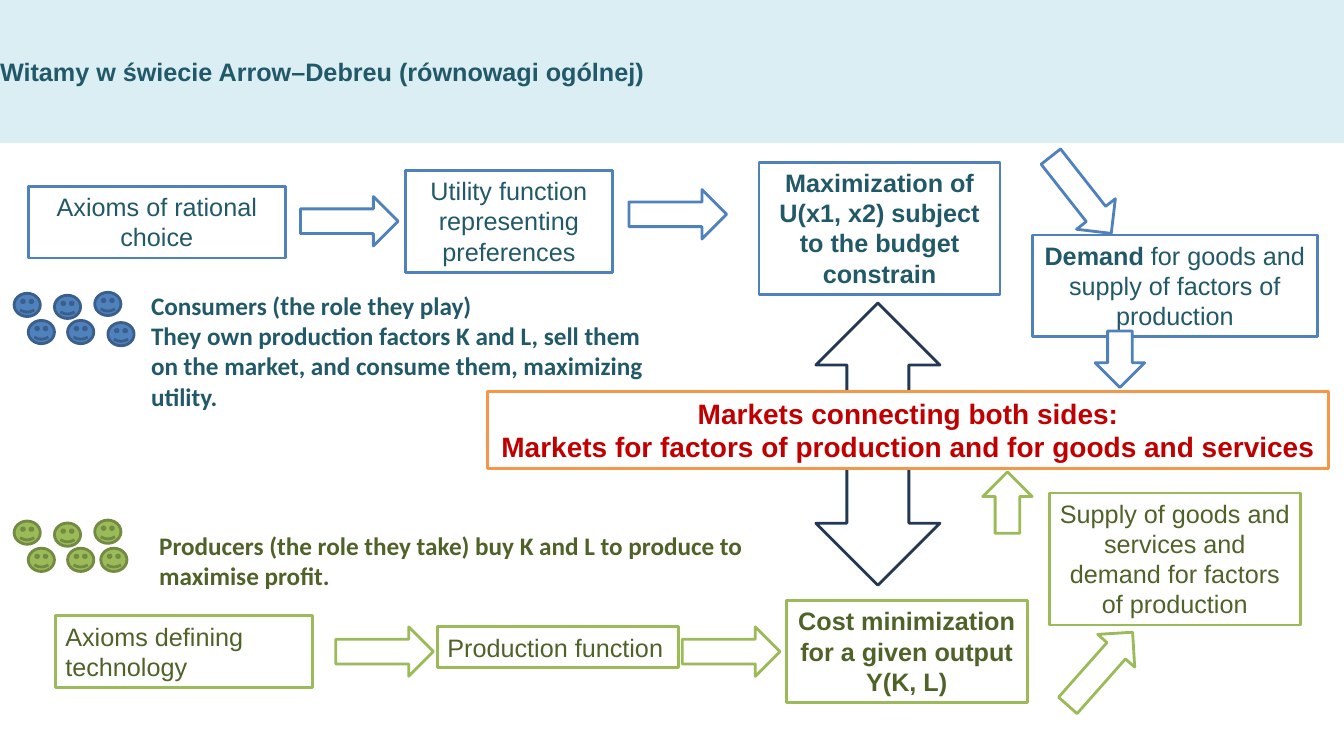
from pptx import Presentation
from pptx.dml.color import RGBColor
from pptx.enum.shapes import MSO_SHAPE
from pptx.enum.text import MSO_ANCHOR, MSO_AUTO_SIZE, PP_ALIGN
from pptx.util import Pt

WHITE = RGBColor(0xFF, 0xFF, 0xFF)
BAND = RGBColor(0xDB, 0xEE, 0xF4)
BLUE = RGBColor(0x4F, 0x81, 0xBD)
BLUE_EDGE = RGBColor(0x3A, 0x5F, 0x8C)
BLUE_TEXT = RGBColor(0x21, 0x59, 0x68)
GREEN = RGBColor(0x9B, 0xBB, 0x59)
GREEN_EDGE = RGBColor(0x73, 0x8A, 0x42)
GREEN_TEXT = RGBColor(0x4F, 0x62, 0x28)
ORANGE = RGBColor(0xF7, 0x96, 0x46)
RED = RGBColor(0xC0, 0x00, 0x00)
NAVY = RGBColor(0x23, 0x39, 0x53)

ARROW_SIZE = (69.8, 35.3)
FACE_SIZE = (18.7, 16.6)
FACE_OFFSETS = [(0, 0), (28.8, 1.4), (10.1, 19.4), (38.2, 19.4), (57.6, -0.7)]


def write_text(shape, *lines, color, lead="", size=18, font="Arial", bold=False,
               align=PP_ALIGN.LEFT, anchor=MSO_ANCHOR.TOP,
               auto_size=MSO_AUTO_SIZE.SHAPE_TO_FIT_TEXT):
    """Write one paragraph per line; lead is a bold opening of the first."""
    frame = shape.text_frame
    frame.word_wrap = True
    frame.auto_size = auto_size
    frame.vertical_anchor = anchor
    for index, line in enumerate(lines):
        paragraph = frame.add_paragraph() if index else frame.paragraphs[0]
        paragraph.alignment = align
        pieces = [(line, bold)]
        if lead and not index:
            pieces.insert(0, (lead, True))
        for words, is_bold in pieces:
            run = paragraph.add_run()
            run.text = words
            run.font.name = font
            run.font.size = Pt(size)
            run.font.bold = is_bold
            run.font.color.rgb = color


def add_outlined(slide, preset, left, top, width, height, edge, fill=WHITE, rotation=0):
    shape = slide.shapes.add_shape(preset, Pt(left), Pt(top), Pt(width), Pt(height))
    shape.shadow.inherit = False
    shape.rotation = rotation
    shape.fill.solid()
    shape.fill.fore_color.rgb = fill
    shape.line.color.rgb = edge
    shape.line.width = Pt(2)
    return shape


def add_box(slide, bounds, edge, *lines, align=PP_ALIGN.CENTER, **text_format):
    box = add_outlined(slide, MSO_SHAPE.RECTANGLE, *bounds, edge)
    write_text(box, *lines, align=align, **text_format)


def add_arrow(slide, left, top, edge, size=ARROW_SIZE, rotation=0):
    add_outlined(slide, MSO_SHAPE.RIGHT_ARROW, left, top, *size, edge, rotation=rotation)


def add_crowd(slide, left, top, fill, edge, last_offset):
    for across, down in FACE_OFFSETS + [last_offset]:
        add_outlined(slide, MSO_SHAPE.SMILEY_FACE, left + across, top + down,
                     *FACE_SIZE, edge, fill=fill)


def add_caption(slide, left, top, width, height, *lines, color):
    caption = slide.shapes.add_textbox(Pt(left), Pt(top), Pt(width), Pt(height))
    write_text(caption, *lines, color=color, font="Calibri", bold=True)


def format_title(title):
    title.left, title.top, title.width, title.height = Pt(0), Pt(0), Pt(960), Pt(102.2)
    title.fill.solid()
    title.fill.fore_color.rgb = BAND
    frame = title.text_frame
    frame.margin_left = frame.margin_right = frame.margin_top = frame.margin_bottom = Pt(0)
    write_text(title, "Witamy w świecie Arrow–Debreu (równowagi ogólnej)", color=BLUE_TEXT,
               bold=True, anchor=MSO_ANCHOR.MIDDLE, auto_size=MSO_AUTO_SIZE.NONE)


def add_producers(slide):
    add_box(slide, (749.5, 352.1, 179.3, 94.3), GREEN,
            "Supply of goods and services and demand for factors of production",
            color=GREEN_TEXT)
    add_box(slide, (39.6, 439.9, 183.6, 51.1), GREEN, "Axioms defining technology",
            color=GREEN_TEXT, align=PP_ALIGN.LEFT)
    add_box(slide, (312.5, 447.8, 172.1, 28.8), GREEN, "Production function",
            color=GREEN_TEXT, align=PP_ALIGN.LEFT)
    add_box(slide, (561.6, 429.1, 172.1, 72.7), GREEN,
            "Cost minimization for a given output Y(K, L)", color=GREEN_TEXT, bold=True)
    add_arrow(slide, 239.8, 447.8, GREEN)
    add_arrow(slide, 487.4, 447.8, GREEN)
    add_arrow(slide, 751, 460.1, GREEN, rotation=311.5)
    add_arrow(slide, 697.7, 341.3, GREEN, size=(43.9, 35.3), rotation=270)
    add_crowd(slide, 10.1, 372.2, GREEN, GREEN_EDGE, last_offset=(61.9, 19.4))
    add_caption(slide, 106.6, 375.1, 432, 51.1,
                "Producers (the role they take) buy K and L to produce to maximise profit.",
                color=GREEN_TEXT)


def add_consumers(slide):
    add_box(slide, (20.2, 133.2, 183.6, 51.1), BLUE, "Axioms of rational choice",
            color=BLUE_TEXT)
    add_box(slide, (289.4, 121.7, 148.3, 72.7), BLUE,
            "Utility function representing preferences", color=BLUE_TEXT)
    add_box(slide, (542.2, 115.9, 172.1, 94.3), BLUE,
            "Maximization of U(x1, x2) subject to the budget constrain",
            color=BLUE_TEXT, bold=True)
    add_arrow(slide, 214.6, 140.4, BLUE)
    add_arrow(slide, 449.3, 135.4, BLUE)
    add_arrow(slide, 737.3, 121.7, BLUE, rotation=51.8)
    add_box(slide, (737.3, 167.8, 203.8, 72.7), BLUE,
            " for goods and supply of factors of production", lead="Demand", color=BLUE_TEXT)
    add_arrow(slide, 779.8, 239, BLUE, size=(40.3, 35.3), rotation=90)
    add_crowd(slide, 10.1, 209.5, BLUE, BLUE_EDGE, last_offset=(67, 20.9))
    add_caption(slide, 100.8, 203.8, 370.8, 94.3,
                "Consumers (the role they play)",
                "They own production factors K and L, sell them on the market, "
                "and consume them, maximizing utility.", color=BLUE_TEXT)


def add_markets(slide):
    add_outlined(slide, MSO_SHAPE.LEFT_RIGHT_ARROW, 526.3, 272.9, 201.6, 88.6, NAVY,
                 rotation=270)
    add_box(slide, (348.5, 279.4, 600.5, 55.4), ORANGE,
            "Markets connecting both sides:",
            "Markets for factors of production and for goods and services",
            color=RED, size=20, bold=True)


def main():
    deck = Presentation()
    deck.slide_width, deck.slide_height = Pt(960), Pt(540)
    slide = deck.slides.add_slide(deck.slide_layouts[5])
    format_title(slide.shapes.title)
    add_markets(slide)
    add_producers(slide)
    add_consumers(slide)
    deck.save("out.pptx")


if __name__ == "__main__":
    main()
